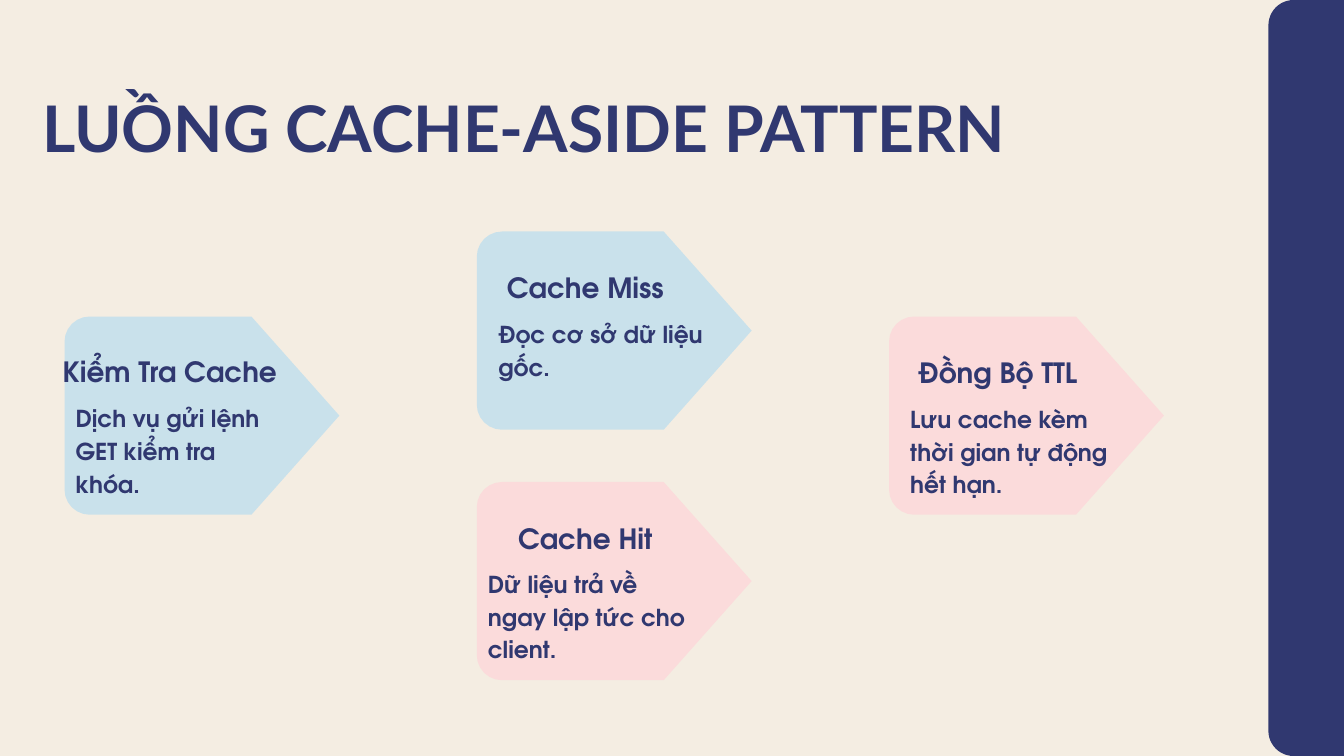
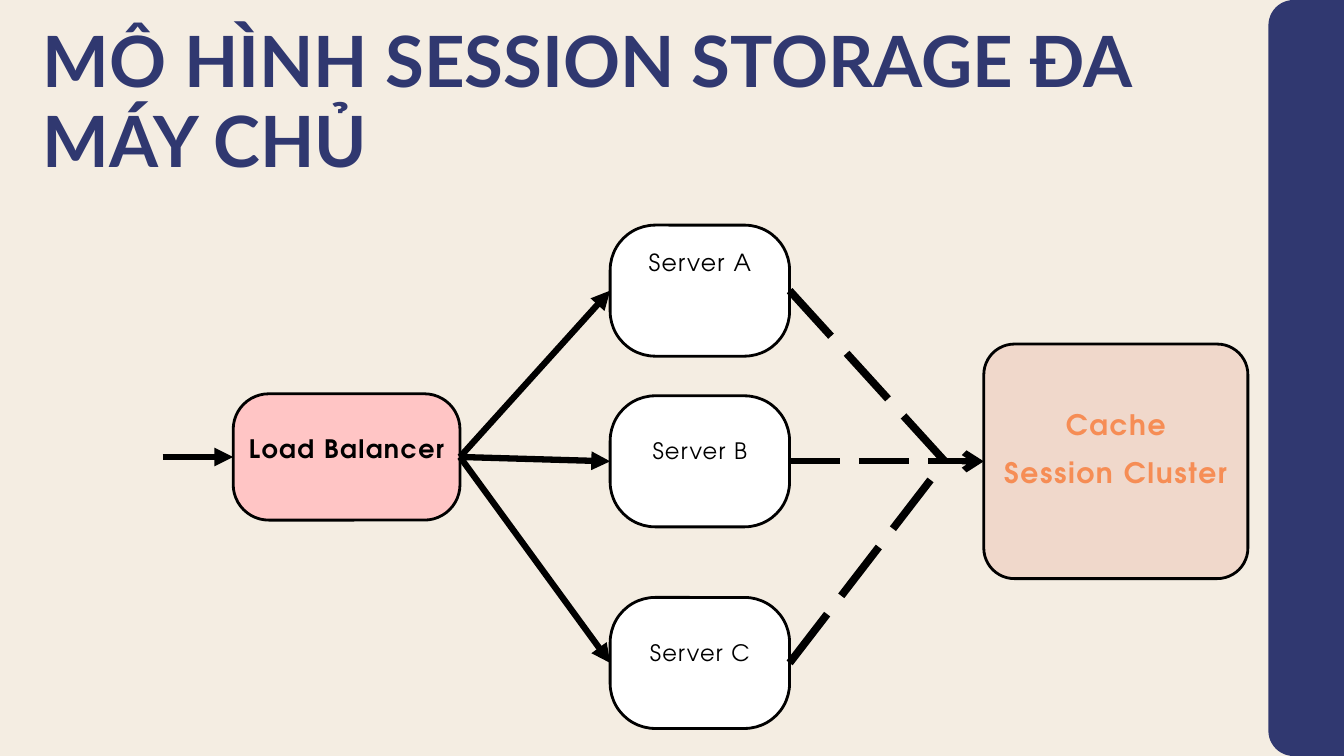
import math
import lxml.etree
import pptx
import pptx.dml.color
import pptx.enum.dml
import pptx.enum.shapes
import pptx.enum.text
import pptx.oxml.ns
import pptx.util

COLS, ROWS = 80, 45
CELL = pptx.util.Inches(0.25)
NAVY, CREAM, BLACK, WHITE = "303870", "F4EDE2", "000000", "FFFFFF"
SKY, BLUSH, ROSE, SAND, ORANGE = "C9E1EB", "FBDBDB", "FFC5C5", "F0D8CB", "F68D55"
HEAD_FONT, TEXT_FONT = "Lato", "TeX Gyre Adventor"
LEFT, MID = pptx.enum.text.PP_ALIGN.LEFT, pptx.enum.text.PP_ALIGN.CENTER
INSET = 0.24
SHAPE = pptx.enum.shapes.MSO_SHAPE


def cells(*counts):
    return [round(count * CELL) for count in counts]


def shift(box, left, top, width, height):
    return box[0] + left, box[1] + top, width, height


def paint(fill, color):
    fill.solid()
    fill.fore_color.rgb = pptx.dml.color.RGBColor.from_string(color)


def finish(shape, color, edge=0):
    shape.shadow.inherit = False
    paint(shape.fill, color)
    if edge:
        paint(shape.line.fill, BLACK)
        shape.line.width = pptx.util.Pt(edge)
    else:
        shape.line.fill.background()


def write(slide, box, lines, size, lead, color=NAVY, font=TEXT_FONT,
          bold=True, align=LEFT, track=0):
    label = slide.shapes.add_textbox(*cells(*box))
    frame = label.text_frame
    frame.word_wrap = True
    frame.auto_size = pptx.enum.text.MSO_AUTO_SIZE.SHAPE_TO_FIT_TEXT
    frame.margin_left = frame.margin_right = frame.margin_top = frame.margin_bottom = 0
    for index, line in enumerate(lines):
        para = frame.add_paragraph() if index else frame.paragraphs[0]
        para.alignment = align
        para.line_spacing = pptx.util.Pt(lead)
        run = para.add_run()
        run.text = line
        run.font.name = font
        run.font.size = pptx.util.Pt(size)
        run.font.bold = bold
        paint(run.font.fill, color)
        if track:
            run._r.get_or_add_rPr().set("spc", str(round(track * 100)))
    return frame


def round_box(slide, box, radius, color, edge=0):
    shape = slide.shapes.add_shape(SHAPE.ROUNDED_RECTANGLE, *cells(*box))
    shape.adjustments[0] = radius / min(box[2:])
    finish(shape, color, edge)
    return shape


def new_page(deck, title, box, size, lead):
    slide = deck.slides.add_slide(deck.slide_layouts[6])
    paint(slide.background.fill, CREAM)
    round_box(slide, (75.5, 0, 13.5, ROWS), 1.5, NAVY)
    write(slide, box, [title], size, lead, font=HEAD_FONT)
    return slide


def draw_arrow(slide, box, color):
    left, top, width, height = box
    radius, neck = 1.5, left + 0.68 * width

    def arc(y, start):
        turns = [math.radians(start + 15 * step) for step in range(7)]
        return [cells(left + radius + radius * math.cos(turn), y + radius * math.sin(turn))
                for turn in turns]

    points = (arc(top + radius, 180)
              + [cells(neck, top), cells(left + width, top + height / 2), cells(neck, top + height)]
              + arc(top + height - radius, 90))
    outline = slide.shapes.build_freeform(*points[0])
    outline.add_line_segments(points[1:], close=True)
    finish(outline.convert_to_shape(), color)


def step_card(slide, box, color, head, body, head_area, body_area):
    draw_arrow(slide, box, color)
    write(slide, shift(box, *head_area), [head], 29.9, 41.9, align=MID)
    write(slide, shift(box, *body_area), [body], 25, 35)


def node(slide, box, radius, fill, lines, size, lead, track, rise,
         color=BLACK, bold=True, drop=0):
    shape = round_box(slide, box, radius, fill, 3)
    area = shift(box, 0, -rise, box[2], box[3] + rise)
    frame = write(slide, area, lines, size, lead, color, bold=bold, align=MID, track=track)
    frame.auto_size = pptx.enum.text.MSO_AUTO_SIZE.NONE
    frame.vertical_anchor = pptx.enum.text.MSO_ANCHOR.MIDDLE
    frame.margin_left, frame.margin_right, frame.margin_top, frame.margin_bottom = cells(
        INSET, INSET, INSET + max(drop, 0), INSET + max(-drop, 0))
    return shape


def link(slide, start, end, weight=6.75, tip=None, dash=False):
    spots = [cells(*spot) if isinstance(spot[0], (int, float)) else [0, 0]
             for spot in (start, end)]
    line = slide.shapes.add_connector(
        pptx.enum.shapes.MSO_CONNECTOR.STRAIGHT, *spots[0], *spots[1])
    if not isinstance(start[0], (int, float)):
        line.begin_connect(*start)
    if not isinstance(end[0], (int, float)):
        line.end_connect(*end)
    paint(line.line.fill, BLACK)
    line.line.width = pptx.util.Pt(weight)
    if dash:
        line.line.dash_style = pptx.enum.dml.MSO_LINE.LONG_DASH
    qname = pptx.oxml.ns.qn
    if tip:
        lxml.etree.SubElement(line.line._get_or_add_ln(), qname("a:tailEnd"), type=tip)
    lxml.etree.SubElement(line._element.spPr, qname("a:effectLst"))


def flow_page(deck):
    slide = new_page(deck, "LUỒNG CACHE-ASIDE PATTERN", (2.52, 5.48, 71.7, 5.24), 68.8, 78.4)
    head, short = (0.48, 2, 11.96, 2.12), (0.66, 4.96, 12.36, 3.8)
    steps = [
        (0, 18.84, SKY, "Kiểm Tra Cache", "Dịch vụ gửi lệnh GET kiểm tra khóa.",
         (-2.04, 1.92, 16.6, 2.12), short),
        (1, 28.69, BLUSH, "Cache Hit", "Dữ liệu trả về ngay lập tức cho client.",
         head, short),
        (1, 13.78, SKY, "Cache Miss", "Đọc cơ sở dữ liệu gốc.",
         head, (1.28, 5, 12.36, 3.8)),
        (2, 18.84, BLUSH, "Đồng Bộ TTL", "Lưu cache kèm thời gian tự động hết hạn.",
         head, (1.26, 5, 12.96, 5.72)),
    ]
    for column, top, *parts in steps:
        step_card(slide, (3.84 + 24.54 * column, top, 16.36, 11.8), *parts)


def server_page(deck):
    slide = new_page(deck, "MÔ HÌNH SESSION STORAGE ĐA MÁY CHỦ",
                     (2.56, 1.24, 71.72, 15.4), 75.7, 86.3)
    lead_box = node(slide, (13.88, 23.44, 13.5, 7.52), 2.12, ROSE,
                    ["Load Balancer"], 27.2, 46.5, 1.5, 2.2, drop=0.38)
    servers = [
        node(slide, (36.32, top, 10.68, 7.8), 2.68, WHITE, [name], size, lead, track,
             rise, bold=False, drop=drop)
        for name, top, size, lead, track, rise, drop in [
            ("Server A", 13.4, 25.2, 43.1, 1.4, 2.24, -1.83),
            ("Server B", 23.56, 24.2, 41.4, 1.3, 1.92, 0),
            ("Server C", 35.56, 24.2, 41.4, 1.3, 1.92, 0),
        ]
    ]
    store = node(slide, (58.56, 20.48, 15.72, 13.96), 1.82, SAND,
                 ["Cache", "Session Cluster"], 30.2, 51.7, 1.7, 2.4, ORANGE)
    link(slide, (9.68, 27.2), (lead_box, 1), tip="triangle")
    for server in servers:
        link(slide, (lead_box, 3), (server, 1), tip="triangle")
    link(slide, (servers[1], 3), (store, 1), tip="arrow", dash=True)
    for server in (servers[2], servers[0]):
        link(slide, (server, 3), (56.24, 27.46), 8.25, dash=True)


def main():
    deck = pptx.Presentation()
    deck.slide_width, deck.slide_height = cells(COLS, ROWS)
    flow_page(deck)
    server_page(deck)
    deck.save("out.pptx")


if __name__ == "__main__":
    main()
